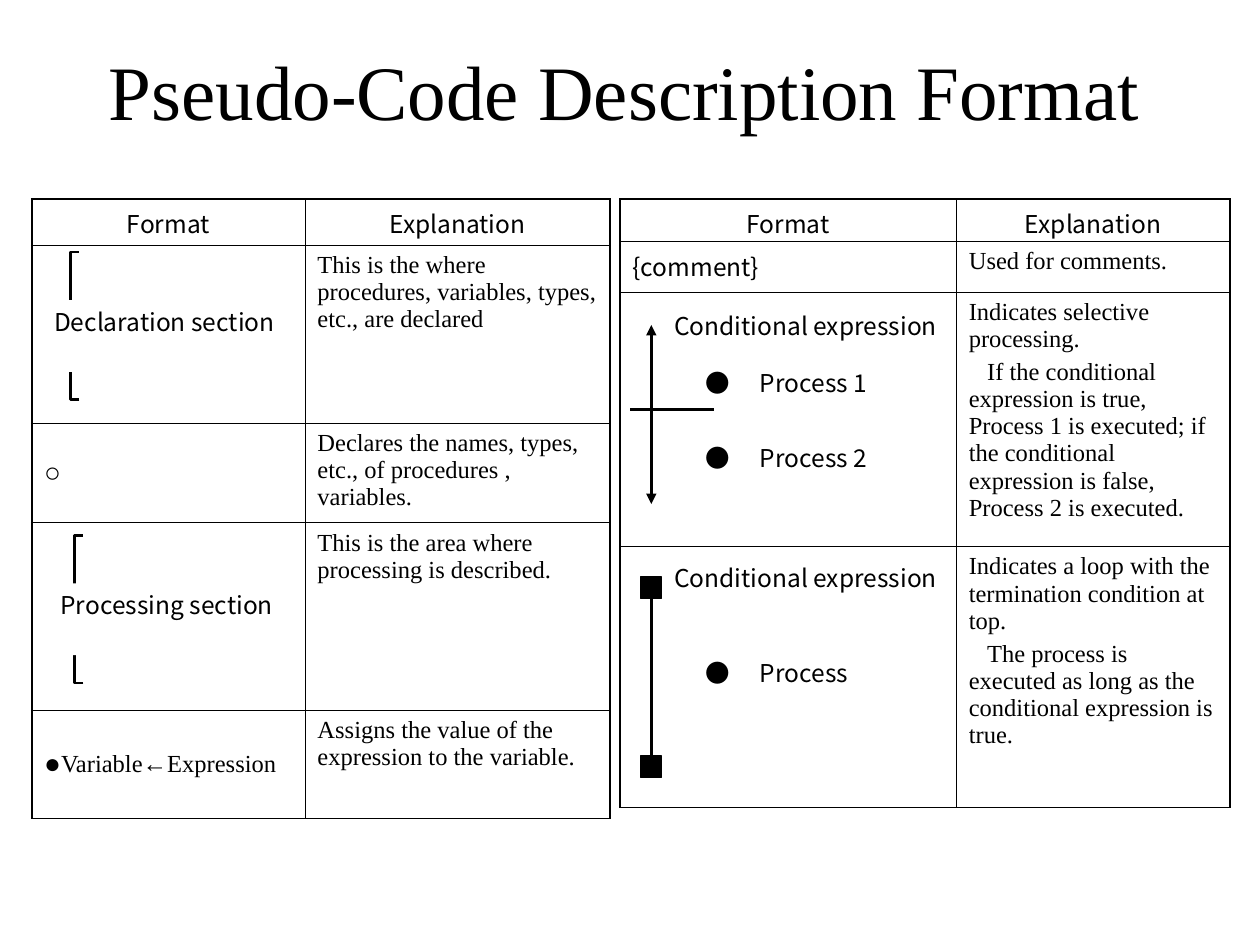
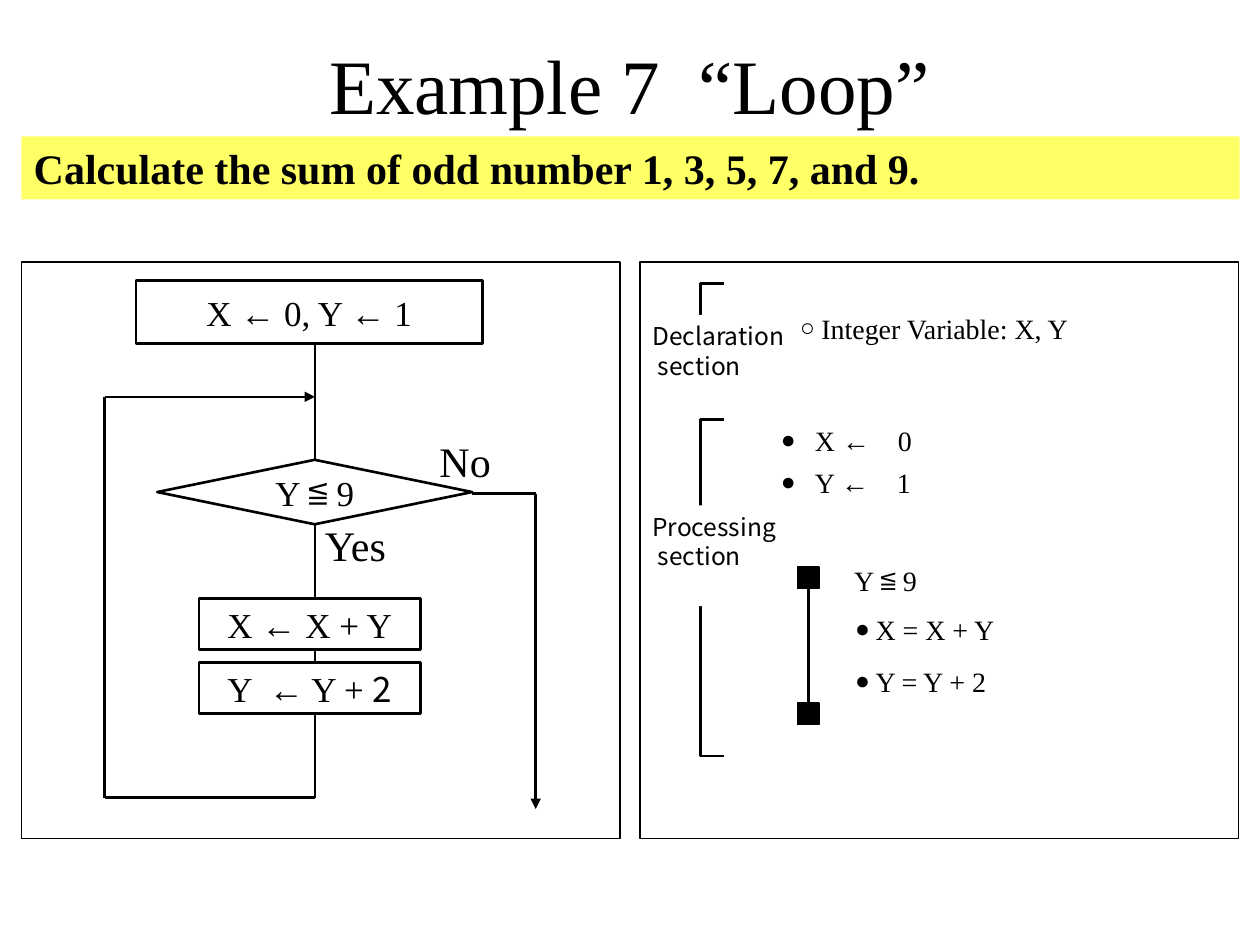
import pptx
import pptx.util
import pptx.dml.color
import pptx.enum.shapes
import pptx.enum.text
import pptx.oxml.ns
from lxml import etree

Cm = pptx.util.Cm
Pt = pptx.util.Pt
qn = pptx.oxml.ns.qn
SHAPE = pptx.enum.shapes.MSO_SHAPE
ALIGN = pptx.enum.text.PP_ALIGN
ANCHOR = pptx.enum.text.MSO_ANCHOR

HUES = {"ink": "000000", "paper": "FFFFFF", "band": "FFFF66"}
SERIF = "Times New Roman"
SANS = "Noto Sans CJK JP"
PAD = (0.25, 0.13)
THICK, THIN = 1.08, 0.45
PANEL = (12.07, 11.63)


def hue(name):
    return pptx.dml.color.RGBColor.from_string(HUES[name])


def style(run, size, font=SERIF, bold=False):
    run.font.size = Pt(size)
    run.font.name = font
    run.font.bold = bold
    run.font.color.rgb = hue("ink")


def write(frame, lines, size=14, font=SERIF, bold=False, align=ALIGN.LEFT, gap=0):
    frame.text = "\n".join(lines)
    for num, para in enumerate(frame.paragraphs):
        para.alignment = align
        if num:
            para.space_before = Pt(gap)
        for run in para.runs:
            style(run, size, font, bold)


def indent(para, left, first):
    props = para._p.get_or_add_pPr()
    props.set("marL", str(Cm(left)))
    props.set("indent", str(Cm(first)))
    return props


def bullet(para, char, left, hang, font=SERIF, scale=100):
    props = indent(para, left, -hang)
    etree.SubElement(props, qn("a:buSzPct")).set("val", str(scale * 1000))
    etree.SubElement(props, qn("a:buFont")).set("typeface", font)
    etree.SubElement(props, qn("a:buChar")).set("char", char)


def pad(frame):
    frame.word_wrap = True
    frame.margin_left = frame.margin_right = Cm(PAD[0])
    frame.margin_top = frame.margin_bottom = Cm(PAD[1])


def text(slide, box, lines, size=14, font=SERIF):
    frame = slide.shapes.add_textbox(*map(Cm, box)).text_frame
    pad(frame)
    write(frame, lines, size, font)
    return frame


def shape(slide, kind, box, fill=None, line=None):
    item = slide.shapes.add_shape(kind, *map(Cm, box))
    item.shadow.inherit = False
    if fill:
        item.fill.solid()
        item.fill.fore_color.rgb = hue(fill)
    else:
        item.fill.background()
    if line:
        item.line.color.rgb = hue("ink")
        item.line.width = Pt(line)
    else:
        item.line.fill.background()
    pad(item.text_frame)
    item.text_frame.vertical_anchor = ANCHOR.TOP
    return item


def line(slide, x1, y1, x2, y2, ends=()):
    kind = pptx.enum.shapes.MSO_CONNECTOR.STRAIGHT
    item = slide.shapes.add_connector(kind, Cm(x1), Cm(y1), Cm(x2), Cm(y2))
    item.line.color.rgb = hue("ink")
    item.line.width = Pt(1.5)
    for end in ends:
        etree.SubElement(item.line._get_or_add_ln(), qn("a:" + end)).set("type", "triangle")
    etree.SubElement(item._element.spPr, qn("a:effectLst"))


def title(slide, words, box):
    item = slide.shapes.title
    item.left, item.top, item.width, item.height = map(Cm, box)
    item.text_frame.vertical_anchor = ANCHOR.MIDDLE
    write(item.text_frame, [words], 44, align=ALIGN.CENTER)


def bracket(slide, box, label, lines):
    item = shape(slide, SHAPE.LEFT_BRACKET, box, line=1.5)
    item.adjustments[0] = 0
    frame = shape(slide, SHAPE.RECTANGLE, label, "paper").text_frame
    write(frame, lines, font=SANS)
    for para in frame.paragraphs[1:]:
        indent(para, 0.11, 0)


def loop(slide, x, y, drop):
    line(slide, x + 0.22, y + 0.22, x + 0.22, y + drop + 0.22)
    for top in (y, y + drop):
        shape(slide, SHAPE.RECTANGLE, (x, top, 0.43, 0.43), "ink", 0.75)


def border(cell, widths):
    props = cell._tc.get_or_add_tcPr()
    for num, (side, width) in enumerate(zip("LRTB", widths)):
        edge = etree.Element(qn("a:ln" + side), w=str(Pt(width)))
        fill = etree.SubElement(edge, qn("a:solidFill"))
        etree.SubElement(fill, qn("a:srgbClr")).set("val", HUES["ink"])
        props.insert(num, edge)


def grid(slide, x, y, cols, rows, notes):
    box = map(Cm, (x, y, sum(cols), sum(rows)))
    table = slide.shapes.add_table(len(rows), len(cols), *box).table
    table.first_row = table.horz_banding = False
    for col, width in zip(table.columns, cols):
        col.width = Cm(width)
    for row, height in zip(table.rows, rows):
        row.height = Cm(height)
    for r in range(len(rows)):
        for c in range(len(cols)):
            cell = table.cell(r, c)
            cell.margin_left = cell.margin_right = Cm(PAD[0])
            cell.margin_top = cell.margin_bottom = Cm(PAD[1])
            cell.fill.background()
            outer = (c == 0, c == len(cols) - 1, r == 0, r == len(rows) - 1)
            border(cell, [THICK if edge else THIN for edge in outer])
    for c, head in enumerate(("Format", "Explanation")):
        cell = table.cell(0, c)
        cell.margin_bottom = 0
        write(cell.text_frame, [head], font=SANS, align=ALIGN.CENTER)
    for r, lines in enumerate(notes, 1):
        frame = table.cell(r, 1).text_frame
        write(frame, lines, gap=3.5)
        for para in frame.paragraphs[1:]:
            indent(para, 0, 0.37)
    return table


def basics(slide, x, y):
    notes = [
        ["This is the where procedures, variables, types, etc., are declared"],
        ["Declares the names, types, etc., of procedures , variables."],
        ["This is the area where processing is described."],
        ["Assigns the value of the expression to the variable."],
    ]
    table = grid(slide, x, y, (5.51, 6.15), (0.94, 3.58, 2.01, 3.78, 2.18), notes)
    mark, assign = table.cell(2, 0), table.cell(4, 0)
    mark.vertical_anchor = assign.vertical_anchor = ANCHOR.MIDDLE
    write(mark.text_frame, ["○"], 16)
    write(assign.text_frame, ["Variable←Expression"])
    bullet(assign.text_frame.paragraphs[0], "●", 0.34, 0.34, scale=114)
    bracket(slide, (x + 0.78, y + 1.07, 0.18, 2.97),
            (x + 0.2, y + 2.04, 5.28, 1.45), ["Declaration section"])
    bracket(slide, (x + 0.86, y + 6.79, 0.18, 2.97),
            (x + 0.33, y + 7.75, 5.08, 1.45), ["Processing section"])


def control(slide, x, y):
    notes = [
        ["Used for comments."],
        ["Indicates selective processing.",
         "If the conditional expression is true, Process 1 is executed; "
         "if the conditional expression is false, Process 2 is executed."],
        ["Indicates a loop with the termination condition at top.",
         "The process is executed as long as the conditional expression is true."],
    ]
    table = grid(slide, x, y, (6.78, 5.51), (0.86, 1.02, 5.13, 5.26), notes)
    write(table.cell(1, 0).text_frame, ["{comment}"], font=SANS)
    pick, rep = table.cell(2, 0), table.cell(3, 0)
    pick.vertical_anchor = ANCHOR.MIDDLE
    rep.margin_top = Cm(2.16)
    for cell, lines in ((pick, ["Process 1", "Process 2"]), (rep, ["Process"])):
        write(cell.text_frame, lines, font=SANS, gap=22.6)
        for para in cell.text_frame.paragraphs:
            bullet(para, "●", 2.57, 1.1, SANS)
    for top in (2.14, 7.22):
        text(slide, (x + 0.84, y + top, 6.15, 1.45), ["Conditional expression"], font=SANS)
    line(slide, x + 0.63, y + 2.54, x + 0.63, y + 6.15, ("headEnd", "tailEnd"))
    line(slide, x + 0.2, y + 4.25, x + 1.9, y + 4.25)
    loop(slide, x + 0.41, y + 7.62, 3.61)


def flow(slide, x, y):
    left, mid, right, low = x + 1.68, x + 5.92, x + 10.37, y + 10.8
    line(slide, mid, y + 1.65, mid, low)
    line(slide, left, y + 2.72, left, low)
    line(slide, left, low, mid, low)
    line(slide, left, y + 2.72, mid, y + 2.72, ("tailEnd",))
    line(slide, x + 9.09, y + 4.67, right, y + 4.67)
    line(slide, right, y + 4.67, right, y + 11.03, ("tailEnd",))
    step = SHAPE.FLOWCHART_PROCESS
    nodes = [
        (step, 2.31, 0.38, 6.99, 1.27, "X ← 0, Y ← 1"),
        (SHAPE.FLOWCHART_DECISION, 2.74, 3.99, 6.35, 1.3, "Y ≦ 9"),
        (step, 3.58, 6.79, 4.47, 1.02, "X ← X + Y"),
        (step, 3.58, 8.08, 4.47, 1.02, "Y  ← Y + "),
    ]
    for kind, dx, dy, wide, high, words in nodes:
        frame = shape(slide, kind, (x + dx, y + dy, wide, high), "paper", 1.5).text_frame
        frame.vertical_anchor = ANCHOR.MIDDLE
        write(frame, [words], 20, align=ALIGN.CENTER)
    two = frame.paragraphs[0].add_run()
    two.text = "2"
    style(two, 20, SANS)
    text(slide, (x + 8.18, y + 3.36, 1.6, 1.27), ["No"], 24)
    text(slide, (x + 5.87, y + 5.06, 1.9, 1.27), ["Yes"], 24)
    shape(slide, SHAPE.RECTANGLE, (x, y, *PANEL), line=0.75)


def code(slide, x, y):
    parts = [(0.44, 2.54, 1.07, "Declaration"), (3.18, 6.78, 4.91, "Processing")]
    for top, high, low, word in parts:
        bracket(slide, (x + 1.22, y + top, 0.48, high),
                (x, y + low, 3.38, 2.03), [word, "section"])
    steps = [
        (2.98, 0.87, "○", 0.43, "Integer Variable: X, Y"),
        (2.59, 3.13, "●", 0.69, "X ←　0"),
        (2.59, 3.97, "●", 0.69, "Y ←　1"),
        (4.07, 5.95, None, 0, "Y ≦ 9"),
        (4.09, 6.94, "●", 0.41, "X = X + Y"),
        (4.09, 7.98, "●", 0.41, "Y = Y + 2"),
    ]
    for dx, dy, mark, hang, words in steps:
        frame = text(slide, (x + dx, y + dy, 7.5, 0.94), [words], 16)
        if mark:
            bullet(frame.paragraphs[0], mark, hang, hang, scale=88)
    loop(slide, x + 3.18, y + 6.15, 2.74)
    shape(slide, SHAPE.RECTANGLE, (x, y, *PANEL), line=0.75)


def band(slide, box, words):
    frame = shape(slide, SHAPE.RECTANGLE, box, "band").text_frame
    write(frame, [words], 24, bold=True)


def main():
    deck = pptx.Presentation()
    deck.slide_width, deck.slide_height = Cm(25.4), Cm(19.05)
    plain = deck.slide_layouts[5]

    slide = deck.slides.add_slide(plain)
    title(slide, "Pseudo-Code Description Format", (0.84, 0.64, 23.5, 2.34))
    basics(slide, 0.64, 4.01)
    control(slide, 12.5, 4.01)

    slide = deck.slides.add_slide(plain)
    title(slide, "Example 7  “Loop”", (1.9, 0.64, 21.59, 2.11))
    band(slide, (0.43, 2.75, 24.56, 1.27),
         "Calculate the sum of odd number 1, 3, 5, 7, and 9.")
    flow(slide, 0.43, 5.28)
    code(slide, 12.9, 5.28)
    deck.save("out.pptx")


if __name__ == "__main__":
    main()
